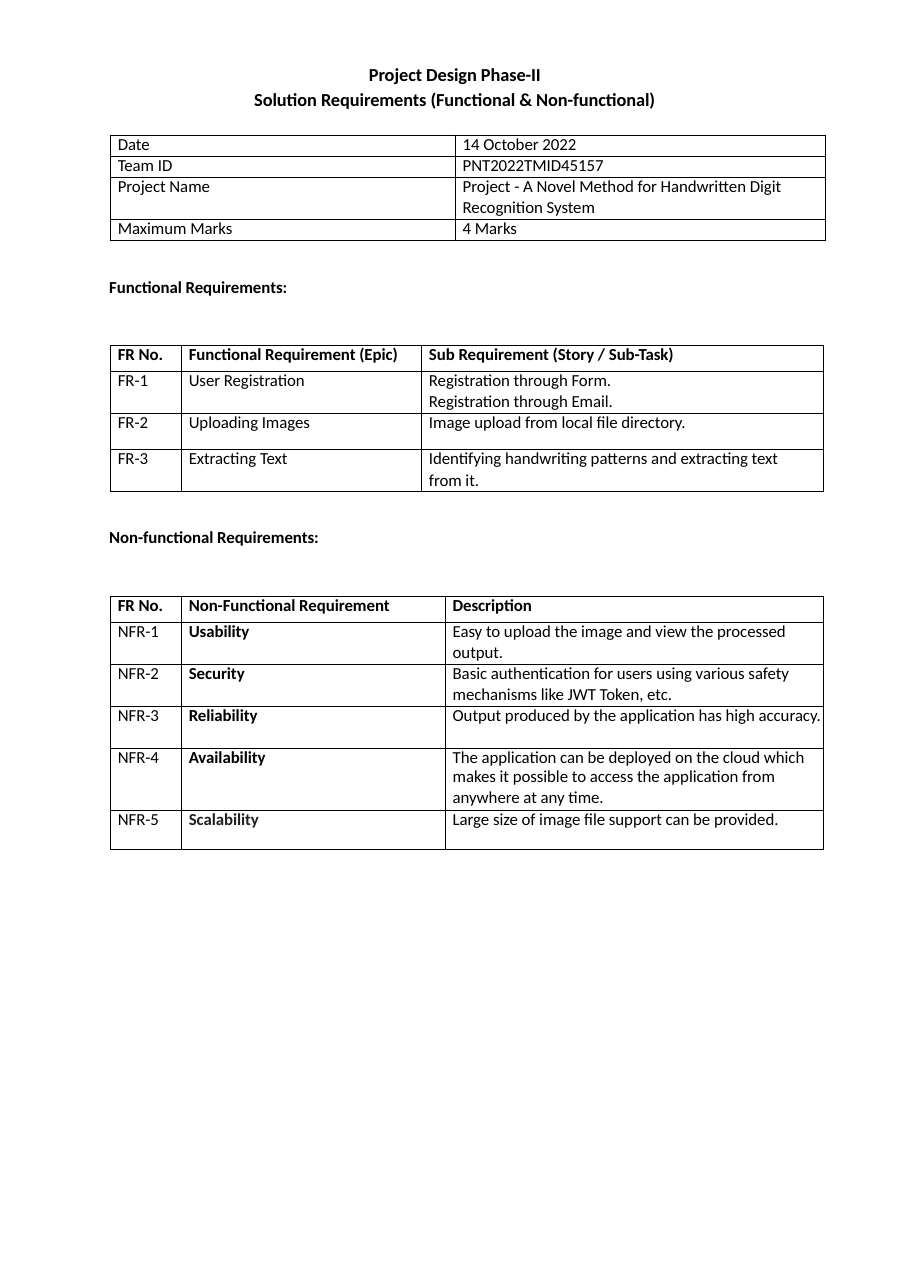
from lxml.etree import SubElement
from pptx import Presentation
from pptx.dml.color import RGBColor
from pptx.enum.text import PP_ALIGN
from pptx.oxml.ns import qn
from pptx.util import Inches, Pt

BLACK = RGBColor(0, 0, 0)
GREY = RGBColor(0x21, 0x21, 0x21)
WIDTH = Inches(8.26)
HEIGHT = Inches(11.69)
LEFT = 12.1
LINE = 1.65
PAIR = 3.26

TITLE = ["Project Design Phase-II", "Solution Requirements (Functional & Non-functional)"]
TEAM = [
    ["Date", "14 October 2022"],
    ["Team ID", "PNT2022TMID45157"],
    ["Project Name", "Project - A Novel Method for Handwritten Digit\nRecognition System"],
    ["Maximum Marks", "4 Marks"],
]
TASKS = [
    ["FR No.", "Functional Requirement (Epic)", "Sub Requirement (Story / Sub-Task)"],
    ["FR-1", "User Registration", "Registration through Form.\nRegistration through Email."],
    ["FR-2", "Uploading Images", "Image upload from local file directory."],
    ["FR-3", "Extracting Text", "Identifying handwriting patterns and extracting text\nfrom it."],
]
TRAITS = [
    ["FR No.", "Non-Functional Requirement", "Description"],
    ["NFR-1", "Usability", "Easy to upload the image and view the processed\noutput."],
    ["NFR-2", "Security",
     "Basic authentication for users using various safety\nmechanisms like JWT Token, etc."],
    ["NFR-3", "Reliability", "Output produced by the application has high accuracy."],
    ["NFR-4", "Availability",
     "The application can be deployed on the cloud which makes it possible to access "
     "the application from\nanywhere at any time."],
    ["NFR-5", "Scalability", "Large size of image file support can be provided."],
]


def across(share):
    return round(WIDTH * share / 100)


def down(share):
    return round(HEIGHT * share / 100)


def write(para, text, size=11, bold=False, color=BLACK):
    run = para.add_run()
    run.text = text
    font = run.font
    font.name = "Calibri"
    font.size = Pt(size)
    font.bold = bold
    font.color.rgb = color
    font._element.set("spc", "-5")


def add_lines(slide, lines, left, top, width, height, size, before, align):
    box = slide.shapes.add_textbox(across(left), down(top), across(width), down(height))
    frame = box.text_frame
    frame.word_wrap = True
    frame.margin_left = frame.margin_right = frame.margin_bottom = 0
    frame.margin_top = Inches(0.02)
    for index, line in enumerate(lines):
        para = frame.paragraphs[0] if index == 0 else frame.add_paragraph()
        para.alignment = align
        para.space_before = Pt(before)
        write(para, line, size, True)


def add_head(slide, text, top):
    add_lines(slide, [text], 12, top, 25, 1.8, 11, 1, PP_ALIGN.LEFT)


def draw_edge(cell):
    props = cell._tc.get_or_add_tcPr()
    for side in ("lnL", "lnR", "lnT", "lnB"):
        edge = SubElement(props, qn("a:" + side), w=str(Pt(0.5)))
        fill = SubElement(edge, qn("a:solidFill"))
        SubElement(fill, qn("a:srgbClr"), val=str(BLACK))
    cell.fill.background()


def fill_cell(cell, text, bold, color):
    cell.margin_left = Inches(0.07)
    cell.margin_top = cell.margin_right = cell.margin_bottom = 0
    draw_edge(cell)
    frame = cell.text_frame
    for index, line in enumerate(text.split("\n")):
        para = frame.paragraphs[0] if index == 0 else frame.add_paragraph()
        if index == 0:
            para.line_spacing = Pt(12.9)
        else:
            para.space_before = Pt(0.2)
        write(para, line, bold=bold, color=color)


def add_grid(slide, data, top, cols, rows, strong=()):
    shape = slide.shapes.add_table(
        len(rows), len(cols), across(LEFT), down(top), across(sum(cols)), down(sum(rows)))
    table = shape.table
    table.first_row = table.horz_banding = False
    for col, share in zip(table.columns, cols):
        col.width = across(share)
    for row, share in zip(table.rows, rows):
        row.height = down(share)
    for r, line in enumerate(data):
        for c, text in enumerate(line):
            bold = line[0] == "FR No." or c in strong
            color = GREY if text == "Scalability" else BLACK
            fill_cell(table.cell(r, c), text, bold, color)


def main():
    deck = Presentation()
    deck.slide_width = WIDTH
    deck.slide_height = HEIGHT
    slide = deck.slides.add_slide(deck.slide_layouts[6])
    add_lines(slide, TITLE, 25, 4.75, 50, 3.95, 12, 2, PP_ALIGN.CENTER)
    add_grid(slide, TEAM, 10.5, [37.9, 40.7], [LINE, LINE, PAIR, LINE])
    add_head(slide, "Functional Requirements:", 21.3)
    add_grid(slide, TASKS, 26.8, [7.8, 26.4, 44.2], [2, PAIR, 2.87, PAIR])
    add_head(slide, "Non-functional Requirements:", 40.75)
    add_grid(slide, TRAITS, 46.3, [7.8, 29, 41.6], [2, PAIR, PAIR, PAIR, 4.85, 3], [1])
    deck.save("out.pptx")


if __name__ == "__main__":
    main()
